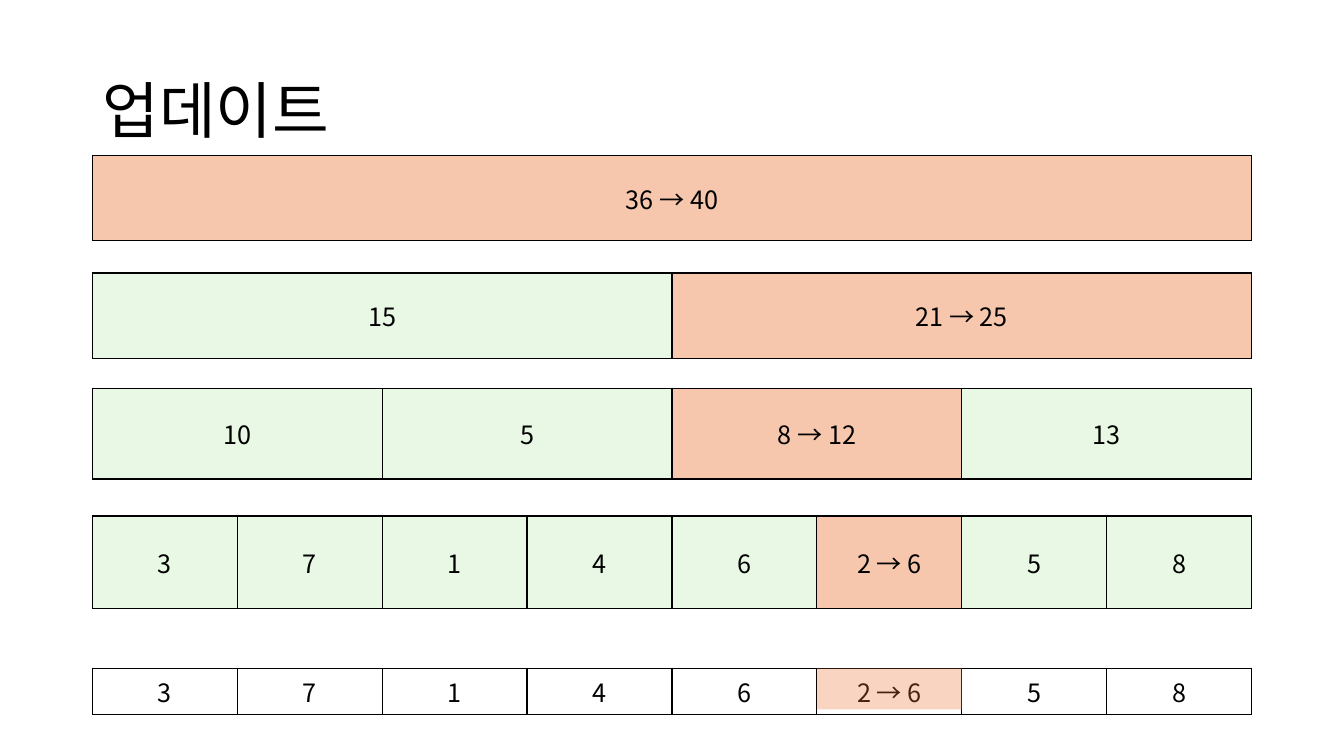
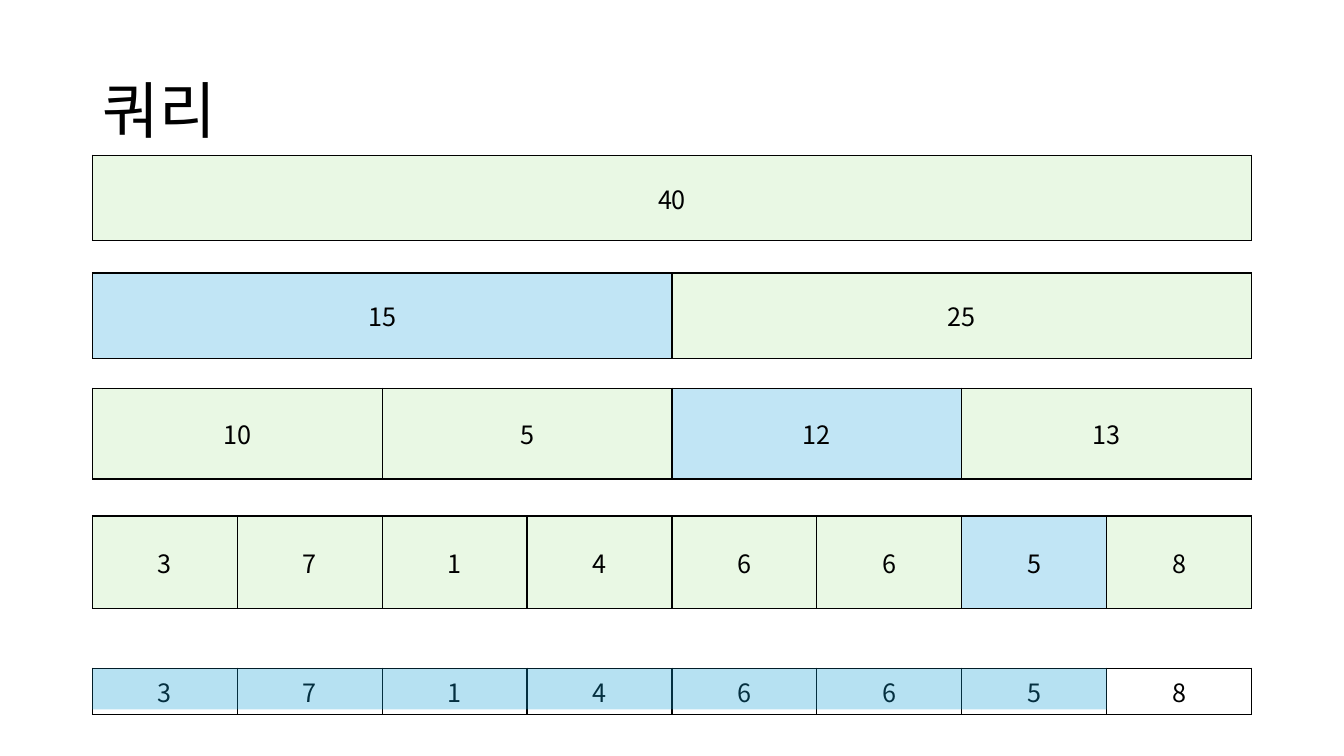
from dataclasses import dataclass

from pptx import Presentation
from pptx.dml.color import RGBColor as Rgb
from pptx.enum.shapes import MSO_SHAPE as Preset
from pptx.enum.text import MSO_ANCHOR as Anchor, PP_ALIGN as Align
from pptx.oxml.ns import qn
from pptx.oxml.xmlchemy import OxmlElement as new_element
from pptx.util import Cm, Pt


@dataclass(frozen=True)
class Theme:
    font: str = "Noto Sans CJK KR"
    title_size: int = 44
    cell_size: int = 18
    line_width: float = 1
    ink: str = "000000"
    paper: str = "FFFFFF"
    node: str = "E9F8E4"
    changed: str = "F6C6AD"
    changed_veil: str = "E97132"
    found: str = "C1E5F5"
    found_veil: str = "0F9ED5"
    veil_opacity: int = 30


@dataclass(frozen=True)
class Box:
    left: float
    top: float
    width: float
    height: float

    def in_cm(self):
        return [Cm(round(n, 2)) for n in (self.left, self.top, self.width, self.height)]

    def columns(self, first, last, count):
        """Return the part from column first to column last of count equal columns."""
        step = self.width / count
        return Box(self.left + first * step, self.top, (last - first + 1) * step, self.height)


THEME = Theme()
LEFT, WIDTH = 2.33, 29.21
TITLE_BOX = Box(LEFT, 1.02, WIDTH, 3.68)
LEVEL_BOXES = [
    Box(LEFT, top, WIDTH, height)
    for top, height in ((3.91, 2.16), (6.88, 2.16), (9.78, 2.29), (13, 2.34))
]
ARRAY_BOX = Box(LEFT, 16.84, WIDTH, 1.04)


def style_paragraph(para, size, align):
    para.alignment = align
    font = para.font
    font.size = Pt(size)
    font.name = THEME.font
    font.color.rgb = Rgb.from_string(THEME.ink)
    east_asian = new_element("a:ea")
    east_asian.set("typeface", THEME.font)
    font._element.find(qn("a:latin")).addnext(east_asian)


def add_title(page, box, text):
    title = page.shapes.title
    title.left, title.top, title.width, title.height = box.in_cm()
    frame = title.text_frame
    frame.text = text
    frame.vertical_anchor = Anchor.MIDDLE
    para = frame.paragraphs[0]
    para.line_spacing = 0.9
    style_paragraph(para, THEME.title_size, Align.LEFT)


def outline_cell(cell):
    properties = cell._tc.get_or_add_tcPr()
    for side in ("a:lnL", "a:lnR", "a:lnT", "a:lnB"):
        line = new_element(side)
        line.set("w", str(Pt(THEME.line_width)))
        fill = new_element("a:solidFill")
        color = new_element("a:srgbClr")
        color.set("val", THEME.ink)
        fill.append(color)
        line.append(fill)
        properties.append(line)


def add_row(page, box, values, fill, marked=(), marked_fill=None):
    """Draw one row of equal cells, with the marked columns in their own fill."""
    table = page.shapes.add_table(1, len(values), *box.in_cm()).table
    table.first_row = table.horz_banding = False
    for column, value in enumerate(values):
        cell = table.cell(0, column)
        cell.text = value
        cell.vertical_anchor = Anchor.MIDDLE
        style_paragraph(cell.text_frame.paragraphs[0], THEME.cell_size, Align.CENTER)
        outline_cell(cell)
        cell.fill.solid()
        cell.fill.fore_color.rgb = Rgb.from_string(marked_fill if column in marked else fill)


def add_veil(page, box, color):
    veil = page.shapes.add_shape(Preset.RECTANGLE, *box.in_cm())
    veil.shadow.inherit = False
    veil.line.fill.background()
    veil.fill.solid()
    veil.fill.fore_color.rgb = Rgb.from_string(color)
    alpha = new_element("a:alpha")
    alpha.set("val", str(THEME.veil_opacity * 1000))
    veil._element.spPr.find(qn("a:solidFill")).find(qn("a:srgbClr")).append(alpha)


def add_tree_slide(deck, title, levels, marks, mark_fill, veil_columns, veil_color):
    """Show a segment tree from root to leaves, with its source array below."""
    page = deck.slides.add_slide(deck.slide_layouts.get_by_name("Title Only"))
    add_title(page, TITLE_BOX, title)
    for box, values, marked in zip(LEVEL_BOXES, levels, marks):
        add_row(page, box, values, THEME.node, marked, mark_fill)
    leaves = levels[-1]
    add_row(page, ARRAY_BOX, leaves, THEME.paper)
    add_veil(page, ARRAY_BOX.columns(*veil_columns, len(leaves)), veil_color)


def main():
    deck = Presentation()
    deck.slide_width, deck.slide_height = Cm(33.87), Cm(19.05)
    add_tree_slide(
        deck,
        "업데이트",
        levels=[
            ["36 → 40"],
            ["15", "21 → 25"],
            ["10", "5", "8 → 12", "13"],
            ["3", "7", "1", "4", "6", "2 → 6", "5", "8"],
        ],
        marks=[{0}, {1}, {2}, {5}],
        mark_fill=THEME.changed,
        veil_columns=(5, 5),
        veil_color=THEME.changed_veil,
    )
    add_tree_slide(
        deck,
        "쿼리",
        levels=[
            ["40"],
            ["15", "25"],
            ["10", "5", "12", "13"],
            ["3", "7", "1", "4", "6", "6", "5", "8"],
        ],
        marks=[set(), {0}, {2}, {6}],
        mark_fill=THEME.found,
        veil_columns=(0, 6),
        veil_color=THEME.found_veil,
    )
    deck.save("out.pptx")


if __name__ == "__main__":
    main()
